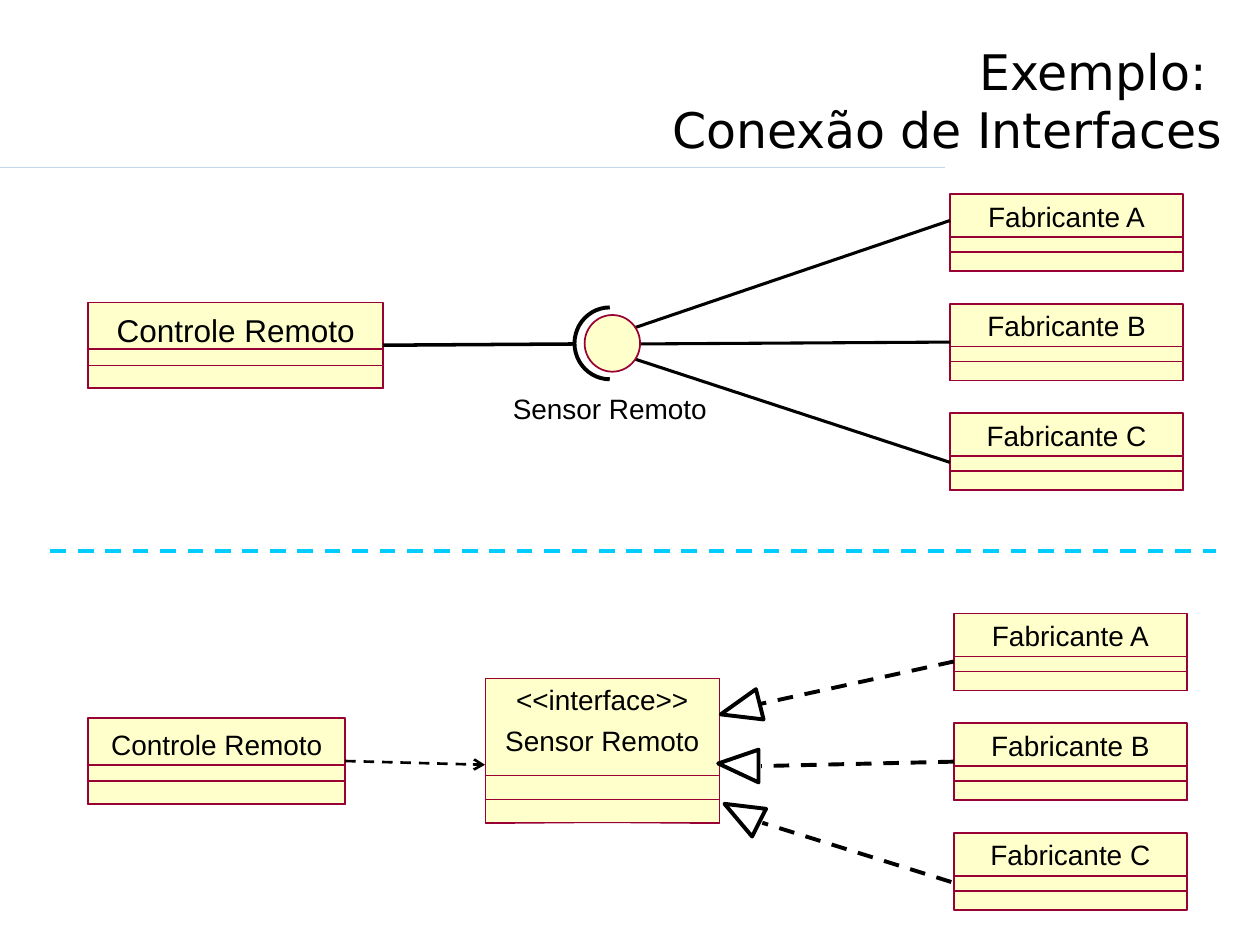
from dataclasses import dataclass

from lxml import etree
from pptx import Presentation
from pptx.dml.color import RGBColor
from pptx.enum import dml, shapes, text
from pptx.oxml import ns
from pptx.util import Inches, Pt


@dataclass(frozen=True)
class Theme:
    ink: RGBColor = RGBColor.from_string("000000")
    paper: RGBColor = RGBColor.from_string("FFFFCC")
    border: RGBColor = RGBColor.from_string("990033")
    rule: RGBColor = RGBColor.from_string("C4D6EB")
    divider: RGBColor = RGBColor.from_string("00CCFF")
    title_font: str = "DejaVu Sans"
    body_font: str = "Arial"
    title_size: int = 28
    label_size: int = 16
    large_size: int = 18


THEME = Theme()
MAKERS = ["Fabricante A", "Fabricante B", "Fabricante C"]
MAKER_WIDTH, MAKER_HEIGHT, MAKER_PITCH = 1.85, 0.61, 0.87


def style_run(run, size, font_name):
    run.font.size = Pt(size)
    run.font.name = font_name
    run.font.color.rgb = THEME.ink


def add_label(container, words, left, top, width, size=THEME.label_size):
    label = container.add_textbox(Inches(left), Inches(top), Inches(width), Inches(size / 60))
    frame = label.text_frame
    frame.word_wrap = True
    frame.margin_left = frame.margin_right = frame.margin_top = frame.margin_bottom = 0
    paragraph = frame.paragraphs[0]
    paragraph.alignment = text.PP_ALIGN.CENTER
    run = paragraph.add_run()
    run.text = words
    style_run(run, size, THEME.body_font)


def add_outlined(container, kind, left, top, width, height, fill=None, line=THEME.border, weight=1):
    shape = container.add_shape(kind, Inches(left), Inches(top), Inches(width), Inches(height))
    shape.shadow.inherit = False
    if fill is None:
        shape.fill.background()
    else:
        shape.fill.solid()
        shape.fill.fore_color.rgb = fill
    shape.line.color.rgb = line
    shape.line.width = Pt(weight)
    return shape


def add_line(slide, start, end, weight, color=THEME.ink, dashed=False, arrow=False):
    points = [Inches(value) for value in (*start, *end)]
    line = slide.shapes.add_connector(shapes.MSO_CONNECTOR.STRAIGHT, *points)
    line.line.color.rgb = color
    line.line.width = Pt(weight)
    if dashed:
        line.line.dash_style = dml.MSO_LINE.DASH
    if arrow:
        etree.SubElement(line.line._get_or_add_ln(), ns.qn("a:tailEnd"), type="arrow")
    etree.SubElement(line._element.spPr, ns.qn("a:effectLst"))
    return line


def add_triangle(slide, corners):
    points = [(Inches(x), Inches(y)) for x, y in corners]
    builder = slide.shapes.build_freeform(*points[0], scale=1.0)
    builder.add_line_segments(points[1:], close=True)
    triangle = builder.convert_to_shape()
    triangle.shadow.inherit = False
    triangle.fill.background()
    triangle.line.color.rgb = THEME.ink
    triangle.line.width = Pt(2.25)


def add_class(slide, box, dividers, labels, size=THEME.label_size, weight=1):
    left, top, width, height = box
    group = slide.shapes.add_group_shape().shapes
    rectangle = shapes.MSO_SHAPE.RECTANGLE
    body = add_outlined(group, rectangle, *box, fill=THEME.paper, weight=weight)
    for offset in dividers:
        add_outlined(group, rectangle, left, top + offset, width, height - offset, weight=weight)
    for words, offset in labels:
        add_label(group, words, left + 0.08, top + offset, width - 0.16, size)
    return body


def add_makers(slide, left, top):
    return [
        add_class(slide, (left, top + row * MAKER_PITCH, MAKER_WIDTH, MAKER_HEIGHT),
                  (0.34, 0.46), [(name, 0.04)])
        for row, name in enumerate(MAKERS)
    ]


def add_controller(slide, left, top, width, size):
    return add_class(slide, (left, top, width, 0.68), (0.37, 0.5),
                     [("Controle Remoto", 0.07)], size)


def add_title(slide, left, top, width, height):
    title = slide.shapes.title
    title.left, title.top = Inches(left), Inches(top)
    title.width, title.height = Inches(width), Inches(height)
    frame = title.text_frame
    frame.vertical_anchor = text.MSO_ANCHOR.BOTTOM
    paragraph = frame.paragraphs[0]
    paragraph.alignment = text.PP_ALIGN.RIGHT
    for index, words in enumerate(("Exemplo: ", "Conexão de Interfaces")):
        if index:
            paragraph.add_line_break()
        run = paragraph.add_run()
        run.text = words
        style_run(run, THEME.title_size, THEME.title_font)
    add_line(slide, (0, 1.33), (7.5, 1.33), 0.75, THEME.rule)


def add_socket_diagram(slide, left, top):
    maker_left = left + 6.84
    controller = add_controller(slide, left, top + 0.86, 2.34, THEME.large_size)
    makers = add_makers(slide, maker_left, top)
    middle = top + 1.19
    plug = add_line(slide, (left + 2.34, middle), (left + 3.86, middle), 2)
    plug.begin_connect(controller, 3)
    for maker_y, ball_y in ((0.21, 1.06), (1.19, 1.19), (2.13, 1.31)):
        link = add_line(slide, (maker_left, top + maker_y), (left + 4.34, top + ball_y), 1.75)
        if maker_y == ball_y:
            link.begin_connect(makers[1], 1)
    add_outlined(slide.shapes, shapes.MSO_SHAPE.OVAL, left + 3.94, top + 0.96, 0.44, 0.45,
                 fill=THEME.paper)
    socket = add_outlined(slide.shapes, shapes.MSO_SHAPE.ARC, left + 3.86, top + 0.9, 0.56, 0.57,
                          line=THEME.ink, weight=2.25)
    socket.adjustments[0], socket.adjustments[1] = 54, 162
    add_label(slide.shapes, "Sensor Remoto", left + 3.34, top + 1.57, 1.6)


def add_interface_diagram(slide, left, top):
    maker_left = left + 6.87
    controller = add_controller(slide, left, top + 0.83, 2.04, THEME.label_size)
    add_class(slide, (left + 3.15, top + 0.51, 1.86, 1.15), (0.77, 0.96),
              [("<<interface>>", 0.04), ("Sensor Remoto", 0.36)], weight=0.25)
    makers = add_makers(slide, maker_left, top)
    realizations = [
        ((6.87, 0.38), (5.32, 0.72), [(5.02, 0.8), (5.36, 0.84), (5.3, 0.6)]),
        ((6.87, 1.2), (5.34, 1.21), [(5, 1.19), (5.32, 1.08), (5.32, 1.34)]),
        ((6.85, 2.13), (5.35, 1.66), [(5.05, 1.51), (5.38, 1.55), (5.27, 1.77)]),
    ]
    for row, (start, end, corners) in enumerate(realizations):
        start, end, *corners = [(left + x, top + y) for x, y in (start, end, *corners)]
        line = add_line(slide, start, end, 2.25, dashed=True)
        if row == 1:
            line.begin_connect(makers[row], 1)
        add_triangle(slide, corners)
    dependency = add_line(slide, (left + 2.04, top + 1.2), (left + 3.15, top + 1.2), 1.5,
                          dashed=True, arrow=True)
    dependency.begin_connect(controller, 3)


def main():
    presentation = Presentation()
    presentation.slide_width = Inches(10)
    presentation.slide_height = Inches(7.5)
    slide = presentation.slides.add_slide(presentation.slide_layouts[5])
    add_title(slide, 0.18, 0.27, 9.62, 1.04)
    add_socket_diagram(slide, 0.7, 1.54)
    add_line(slide, (0.4, 4.37), (9.65, 4.37), 2.25, THEME.divider, dashed=True)
    add_interface_diagram(slide, 0.7, 4.87)
    presentation.save("out.pptx")


if __name__ == "__main__":
    main()
